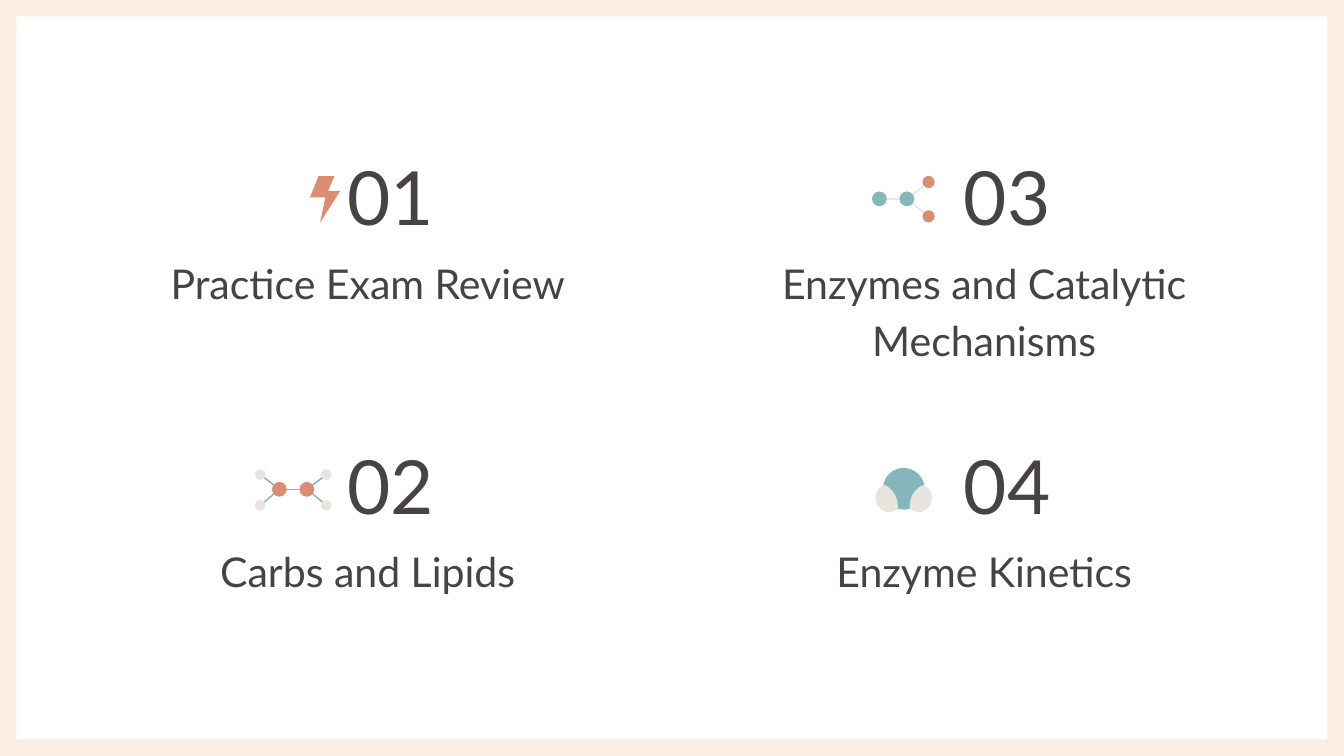
from typing import NamedTuple

from lxml import etree
from pptx import Presentation, util as u
from pptx.dml.color import RGBColor
from pptx.enum import shapes, text
from pptx.oxml.ns import qn

INK, CORAL, TEAL, SAND = "464342", "DE8B74", "84B6BC", "E8E4DE"
STEP_X, STEP_Y = 11.65, 5.45
AXIS = 17.08


class Topic(NamedTuple):
    mark: str
    name: str
    col: int
    row: int


class Atom(NamedTuple):
    x: float
    y: float
    size: float
    tint: str


class Graph(NamedTuple):
    atoms: list[Atom]
    bonds: list[tuple[int, int]]
    tint: str


TOPICS = [
    Topic("01", "Practice Exam Review", 0, 0),
    Topic("02", "Carbs and Lipids", 0, 1),
    Topic("03", "Enzymes and Catalytic Mechanisms", 1, 0),
    Topic("04", "Enzyme Kinetics", 1, 1),
]
LIPID = Graph(
    [Atom(5.28, 9.25, 0.28, CORAL), Atom(5.8, 9.25, 0.28, CORAL)]
    + [Atom(x, y, 0.2, SAND) for x in (4.92, 6.17) for y in (8.97, 9.55)],
    [(0, 1), (0, 2), (0, 3), (1, 4), (1, 5)],
    TEAL,
)
ENZYME = Graph(
    [Atom(x, 3.76, 0.28, TEAL) for x in (16.62, 17.14)]
    + [Atom(17.55, y, 0.23, CORAL) for y in (3.44, 4.09)],
    [(0, 1), (1, 2), (1, 3)],
    SAND,
)
BOLT = [(6.02, 3.33), (5.86, 3.73), (6.15, 3.73), (6.05, 4.21),
        (6.43, 3.61), (6.2, 3.61), (6.32, 3.33)]
LOBE = [(0.37, 9.17), (0.37, 9.17), (0.11, 9.25), (0.11, 9.6),
        (0.17, 9.65), (0.22, 9.68), (0.27, 9.68),
        (0.37, 9.68), (0.45, 9.63), (0.5, 9.55),
        (0.57, 9.4), (0.52, 9.22), (0.37, 9.17)]


def tone(code: str) -> RGBColor:
    return RGBColor.from_string(code)


def paint(shape, tint: str) -> None:
    shape.shadow.inherit = False
    shape.fill.solid()
    shape.fill.fore_color.rgb = tone(tint)
    shape.line.fill.background()


def block(slide, kind, x: float, y: float, w: float, h: float, tint: str) -> None:
    paint(slide.shapes.add_shape(kind, u.Cm(x), u.Cm(y), u.Cm(w), u.Cm(h)), tint)


def disc(slide, atom: Atom) -> None:
    half = atom.size / 2
    block(slide, shapes.MSO_SHAPE.OVAL, atom.x - half, atom.y - half,
          atom.size, atom.size, atom.tint)


def outline(slide, points: list[tuple[float, float]], tint: str) -> None:
    spots = [(u.Cm(x), u.Cm(y)) for x, y in points]
    pen = slide.shapes.build_freeform(*spots[0])
    pen.add_line_segments(spots[1:], close=True)
    paint(pen.convert_to_shape(), tint)


def curve(knots: list[tuple[float, float]], count: int = 12) -> list[tuple[float, float]]:
    points = [knots[0]]
    for i in range(0, len(knots) - 1, 3):
        for k in range(1, count + 1):
            t = k / count
            parts = ((1 - t) ** 3, 3 * t * (1 - t) ** 2, 3 * t * t * (1 - t), t ** 3)
            points.append(tuple(sum(p * knot[d] for p, knot in zip(parts, knots[i:i + 4]))
                                for d in (0, 1)))
    return points


def bond(slide, start: Atom, end: Atom, tint: str) -> None:
    line = slide.shapes.add_connector(
        shapes.MSO_CONNECTOR.STRAIGHT,
        u.Cm(start.x), u.Cm(start.y), u.Cm(end.x), u.Cm(end.y))
    line.line.color.rgb = tone(tint)
    line.line.width = u.Pt(0.78)
    etree.SubElement(line._element.spPr, qn("a:effectLst"))


def graph(slide, net: Graph) -> None:
    for a, b in net.bonds:
        bond(slide, net.atoms[a], net.atoms[b], net.tint)
    for atom in net.atoms:
        disc(slide, atom)


def label(slide, words: str, x: float, y: float, w: float, h: float,
          size: int, align, anchor):
    frame = slide.shapes.add_textbox(u.Cm(x), u.Cm(y), u.Cm(w), u.Cm(h)).text_frame
    frame.word_wrap = True
    frame.vertical_anchor = anchor
    frame.margin_left = frame.margin_right = u.Cm(0.25)
    frame.margin_top = frame.margin_bottom = u.Cm(0.25)
    frame.text = words
    para = frame.paragraphs[0]
    para.alignment = align
    font = para.runs[0].font
    font.name, font.size = "Lato", u.Pt(size)
    font.color.rgb = tone(INK)
    return para


def entry(slide, topic: Topic) -> None:
    x, y = topic.col * STEP_X, topic.row * STEP_Y
    label(slide, topic.mark, 5.43 + x, 1.32 + y, 3.02, 3.48, 40,
          text.PP_ALIGN.RIGHT, text.MSO_ANCHOR.BOTTOM)
    para = label(slide, topic.name, 1.96 + x, 4.5 + y, 9.98, 1.27, 22,
                 text.PP_ALIGN.CENTER, text.MSO_ANCHOR.TOP)
    para.line_spacing = 1.15
    para.space_after = u.Pt(16)


def main() -> None:
    deck = Presentation()
    deck.slide_width, deck.slide_height = u.Cm(25.4), u.Cm(14.29)
    slide = deck.slides.add_slide(deck.slide_layouts[6])
    slide.background.fill.solid()
    slide.background.fill.fore_color.rgb = tone("FAEDE1")
    block(slide, shapes.MSO_SHAPE.RECTANGLE, 0.31, 0.31, 24.78, 13.67, "FFFFFF")
    for topic in TOPICS:
        entry(slide, topic)
    outline(slide, BOLT, CORAL)
    for net in (LIPID, ENZYME):
        graph(slide, net)
    disc(slide, Atom(AXIS, 9.24, 0.79, TEAL))
    for side in (1, -1):
        outline(slide, [(AXIS + side * x, y) for x, y in curve(LOBE)], SAND)
    deck.save("out.pptx")


if __name__ == "__main__":
    main()
